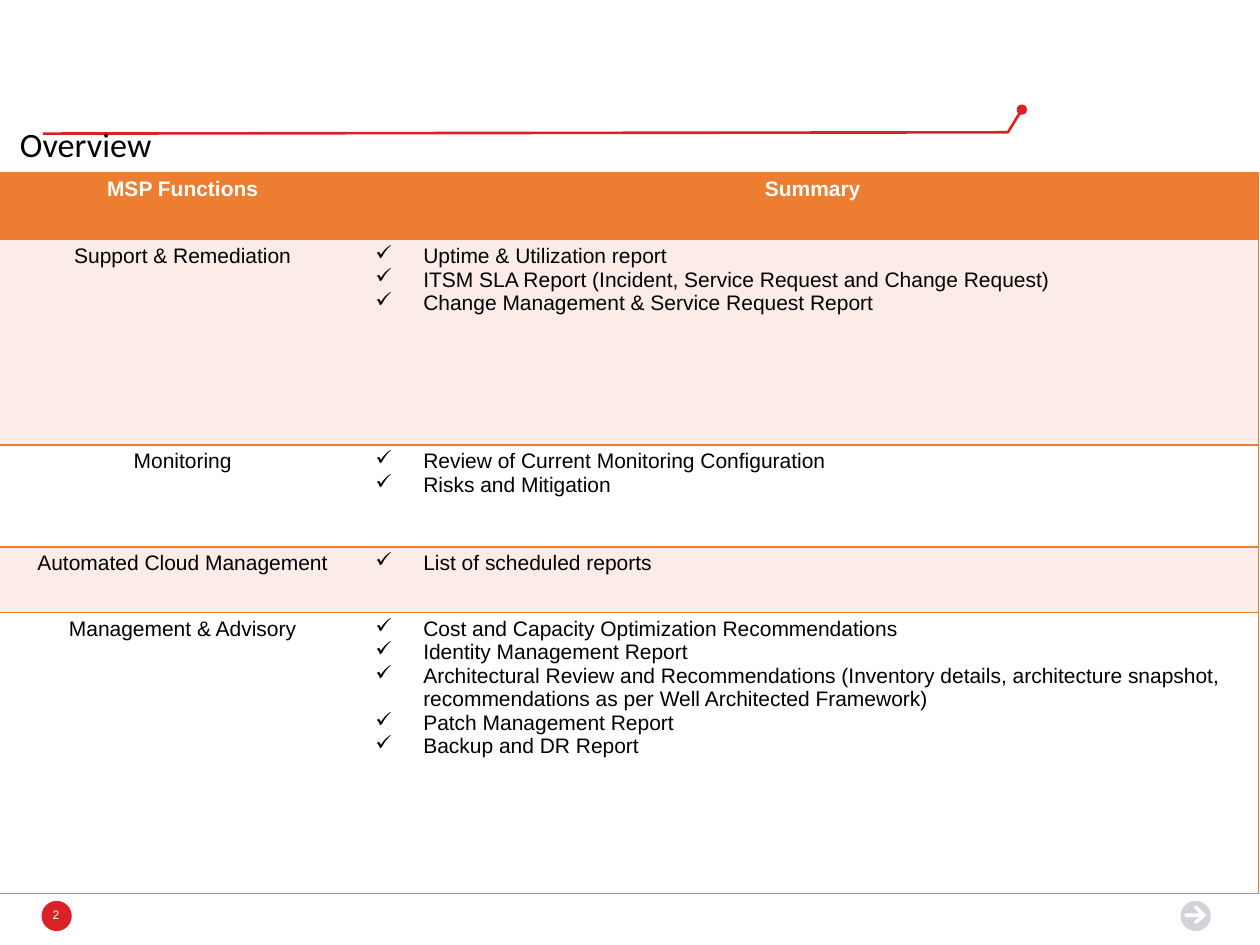
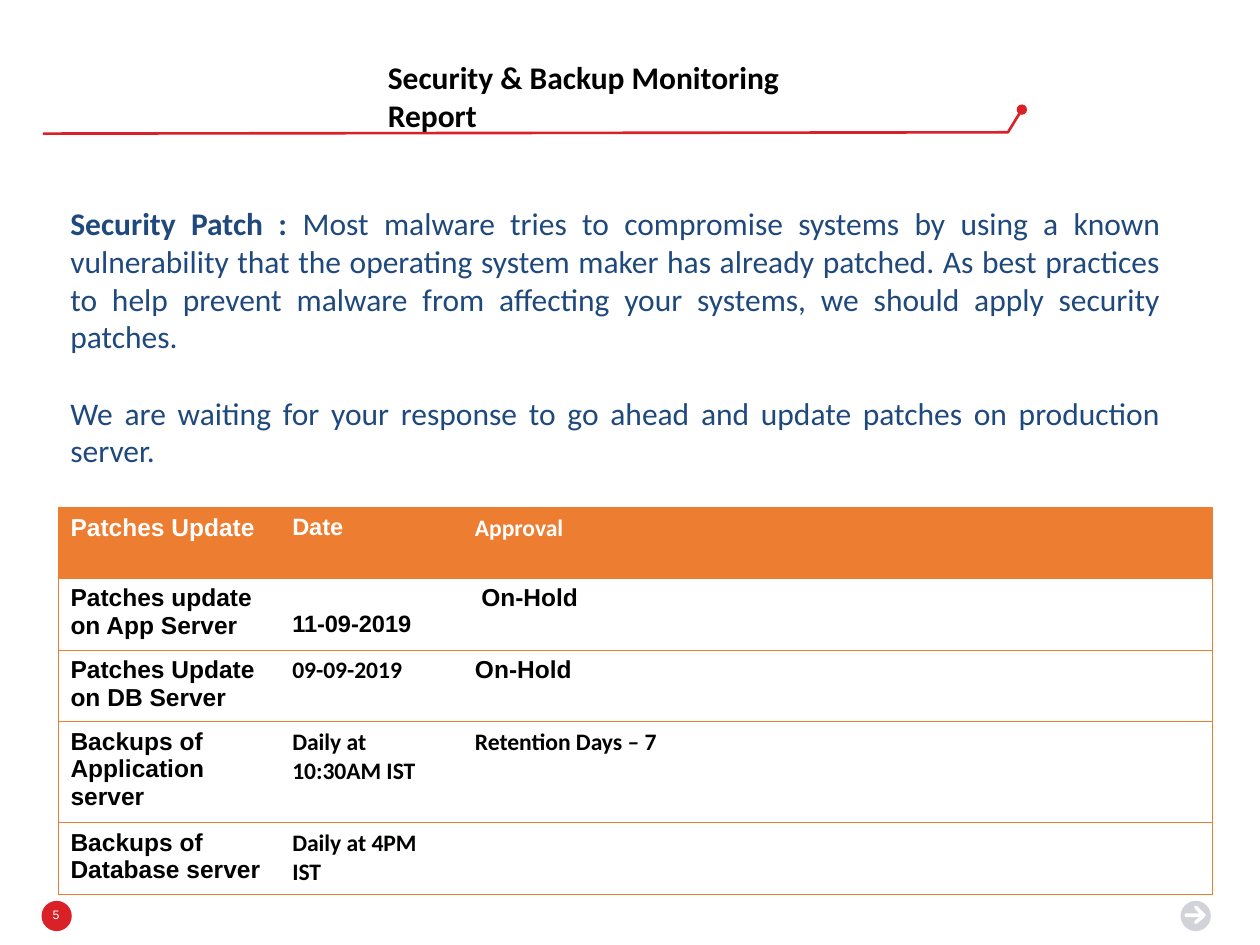
from dataclasses import dataclass

from lxml.etree import SubElement
from pptx import Presentation
from pptx.dml.color import RGBColor
from pptx.enum.shapes import MSO_SHAPE
from pptx.enum.text import MSO_ANCHOR, PP_ALIGN
from pptx.oxml.ns import qn
from pptx.util import Inches, Pt

COLORS = {
    "red": "DA2128",
    "gray": "D1D3D9",
    "orange": "ED7D31",
    "blush": "FCECE8",
    "white": "FFFFFF",
    "black": "000000",
    "navy": "1F497D",
}
RULE_POINTS = [(0.34, 1.06), (8, 1.05), (8.11, 0.87)]
ARROW_POINTS = [
    (9.5, 7.33), (9.56, 7.28), (9.57, 7.26), (9.56, 7.25), (9.5, 7.19),
    (9.48, 7.19), (9.48, 7.21), (9.52, 7.25), (9.41, 7.25), (9.4, 7.26),
    (9.41, 7.28), (9.52, 7.28), (9.48, 7.31), (9.48, 7.33),
]
BULLET_INDENT = 0.38


@dataclass
class CellText:
    lines: tuple[str, ...]
    size: float = 12
    font: str = "Arial"
    bold: bool = False
    align: PP_ALIGN = PP_ALIGN.LEFT
    bulleted: bool = False
    extra_left: float = 0
    extra_top: float = 0


@dataclass
class TableLayout:
    left: float
    top: float
    columns: tuple[float, ...]
    rows: tuple[float, ...]
    body_fills: tuple[str, str]
    border_width: float
    margin_x: float
    margin_y: float


FUNCTIONS_LAYOUT = TableLayout(
    -0.01, 1.37, (2.92, 7.08), (0.53, 1.63, 0.81, 0.52, 2.23),
    ("blush", "white"), 1, 0.07, 0.04,
)
PATCHES_LAYOUT = TableLayout(
    0.46, 4.03, (1.76, 1.45, 5.95), (0.56, 0.57, 0.57, 0.8, 0.57),
    ("white", "white"), 0.5, 0.1, 0.05,
)

MSP_FUNCTIONS = {
    "Support & Remediation": (
        "Uptime & Utilization report",
        "ITSM SLA Report (Incident, Service Request and Change Request)",
        "Change Management & Service Request Report",
    ),
    "Monitoring": (
        "Review of Current Monitoring Configuration",
        "Risks and Mitigation",
    ),
    "Automated Cloud Management": ("List of scheduled reports",),
    "Management & Advisory": (
        "Cost and Capacity Optimization Recommendations",
        "Identity Management Report",
        "Architectural Review and Recommendations (Inventory details, "
        "architecture snapshot, recommendations as per Well Architected Framework)",
        "Patch Management Report",
        "Backup and DR Report",
    ),
}


def color(name: str) -> RGBColor:
    return RGBColor.from_string(COLORS[name])


def add_text(paragraph, text: str, *, size: float, font: str = "Calibri",
             ink: str = "black", bold: bool = False,
             align: PP_ALIGN = PP_ALIGN.LEFT) -> None:
    paragraph.alignment = align
    run = paragraph.add_run()
    run.text = text
    run.font.size = Pt(size)
    run.font.name = font
    run.font.bold = bold
    run.font.color.rgb = color(ink)


def add_text_box(slide, left: float, top: float, width: float, height: float,
                 anchor: MSO_ANCHOR = MSO_ANCHOR.TOP):
    box = slide.shapes.add_textbox(Inches(left), Inches(top), Inches(width), Inches(height))
    box.text_frame.word_wrap = True
    box.text_frame.vertical_anchor = anchor
    return box.text_frame


def add_outline(slide, points: list[tuple[float, float]], closed: bool):
    corners = [(Inches(x), Inches(y)) for x, y in points]
    builder = slide.shapes.build_freeform(*corners[0])
    builder.add_line_segments(corners[1:], close=closed)
    shape = builder.convert_to_shape()
    shape.shadow.inherit = False
    return shape


def add_disc(slide, left: float, fill: str) -> None:
    disc = slide.shapes.add_shape(
        MSO_SHAPE.OVAL, Inches(left), Inches(7.15), Inches(0.24), Inches(0.24))
    disc.shadow.inherit = False
    disc.fill.solid()
    disc.fill.fore_color.rgb = color(fill)
    disc.line.fill.background()


def add_frame(presentation, number: int):
    """Add a slide with the red rule, page number and next arrow."""
    slide = presentation.slides.add_slide(presentation.slide_layouts[6])

    # Red rule ending in a dot
    rule = add_outline(slide, RULE_POINTS, closed=False)
    rule.fill.background()
    rule.line.color.rgb = color("red")
    rule.line.width = Pt(1.5)
    SubElement(rule.line._get_or_add_ln(), qn("a:tailEnd"), type="oval")

    # Page number
    add_disc(slide, 0.33, "red")
    frame = add_text_box(slide, 0.3, 7.13, 0.29, 0.26, MSO_ANCHOR.MIDDLE)
    frame.margin_left = frame.margin_right = frame.margin_top = frame.margin_bottom = 0
    add_text(frame.paragraphs[0], str(number), size=7, font="Arial",
             ink="white", align=PP_ALIGN.CENTER)

    # Next arrow
    add_disc(slide, 9.37, "gray")
    arrow = add_outline(slide, ARROW_POINTS, closed=True)
    arrow.fill.solid()
    arrow.fill.fore_color.rgb = color("white")
    arrow.line.fill.background()
    return slide


def set_borders(cell, width: float, first: bool, last: bool) -> None:
    properties = cell._tc.get_or_add_tcPr()
    for edge, visible in (("L", first), ("R", last), ("T", True), ("B", True)):
        line = SubElement(properties, qn(f"a:ln{edge}"), w=str(Pt(width)))
        if visible:
            fill = SubElement(line, qn("a:solidFill"))
            SubElement(fill, qn("a:srgbClr"), val=COLORS["orange"])
        else:
            SubElement(line, qn("a:noFill"))


def set_bullet(paragraph) -> None:
    properties = paragraph._p.get_or_add_pPr()
    properties.set("marL", str(Inches(BULLET_INDENT)))
    properties.set("indent", str(-Inches(BULLET_INDENT)))
    SubElement(properties, qn("a:buChar"), char="✓")


def fill_cell(cell, content: CellText, layout: TableLayout, ink: str) -> None:
    cell.margin_left = Inches(layout.margin_x + content.extra_left)
    cell.margin_right = Inches(layout.margin_x)
    cell.margin_top = Inches(layout.margin_y + content.extra_top)
    cell.margin_bottom = Inches(layout.margin_y)
    frame = cell.text_frame
    for index, line in enumerate(content.lines):
        paragraph = frame.add_paragraph() if index else frame.paragraphs[0]
        add_text(paragraph, line, size=content.size, font=content.font, ink=ink,
                 bold=content.bold, align=content.align)
        if content.bulleted:
            set_bullet(paragraph)


def add_grid(slide, layout: TableLayout, rows: list[list[CellText]]) -> None:
    table = slide.shapes.add_table(
        len(layout.rows), len(layout.columns), Inches(layout.left), Inches(layout.top),
        Inches(sum(layout.columns)), Inches(sum(layout.rows))).table
    table.first_row = table.horz_banding = False
    for column, width in zip(table.columns, layout.columns):
        column.width = Inches(width)
    for row, height in zip(table.rows, layout.rows):
        row.height = Inches(height)
    last_column = len(layout.columns) - 1
    for row_index, contents in enumerate(rows):
        header = row_index == 0
        fill = "orange" if header else layout.body_fills[(row_index - 1) % 2]
        for column_index, content in enumerate(contents):
            cell = table.cell(row_index, column_index)
            set_borders(cell, layout.border_width, column_index == 0,
                        column_index == last_column)
            cell.fill.solid()
            cell.fill.fore_color.rgb = color(fill)
            fill_cell(cell, content, layout, "white" if header else "black")


def label(text: str, **options) -> CellText:
    """Bold cell of the patches table."""
    return CellText((text,), bold=True, **{"size": 14, **options})


def detail(text: str, font: str = "Calibri", **options) -> CellText:
    return label(text, size=13.5, font=font, **options)


def build_overview(presentation) -> None:
    slide = add_frame(presentation, 2)
    title = add_text_box(slide, 0.06, 0.94, 2.41, 0.44, MSO_ANCHOR.MIDDLE).paragraphs[0]
    title.line_spacing = 0.9
    add_text(title, "Overview", size=19.5)

    centered = {"align": PP_ALIGN.CENTER}
    rows = [[CellText((name,), bold=True, **centered)
             for name in ("MSP Functions", "Summary")]]
    rows += [[CellText((name,), **centered), CellText(reports, bulleted=True)]
             for name, reports in MSP_FUNCTIONS.items()]
    add_grid(slide, FUNCTIONS_LAYOUT, rows)


def build_security(presentation) -> None:
    slide = add_frame(presentation, 5)

    # Patch and backup status
    add_grid(slide, PATCHES_LAYOUT, [
        [label("Patches Update"), detail("Date", "Arial"), detail("Approval")],
        [label("Patches update on App Server"),
         detail("11-09-2019", "Arial", extra_top=0.21),
         label("On-Hold", extra_left=0.05)],
        [label("Patches Update on DB Server"), detail("09-09-2019"), label("On-Hold")],
        [label("Backups of Application server"), detail("Daily at 10:30AM IST"),
         detail("Retention Days – 7")],
        [label("Backups of Database server"), detail("Daily at 4PM IST"), CellText(())],
    ])

    # Title
    title = add_text_box(slide, 2.98, 0.41, 3.89, 0.4).paragraphs[0]
    add_text(title, "Security & Backup Monitoring Report", size=18, bold=True)

    # Advice
    frame = add_text_box(slide, 0.46, 1.57, 8.85, 2.83)
    advice = {"size": 18, "ink": "navy", "align": PP_ALIGN.JUSTIFY}
    patch = frame.paragraphs[0]
    add_text(patch, "Security Patch : ", bold=True, **advice)
    add_text(patch, "Most malware tries to compromise systems by using a known "
             "vulnerability that the operating system maker has already patched. "
             "As best practices to help prevent malware from affecting your systems, "
             "we should apply security patches.", **advice)
    request = frame.add_paragraph()
    request.space_before = Pt(22)
    add_text(request, "We are waiting for your response to go ahead and update "
             "patches on production server.", **advice)


def main() -> None:
    presentation = Presentation()
    presentation.slide_width = Inches(10)
    presentation.slide_height = Inches(7.5)
    build_overview(presentation)
    build_security(presentation)
    presentation.save("out.pptx")


if __name__ == "__main__":
    main()
